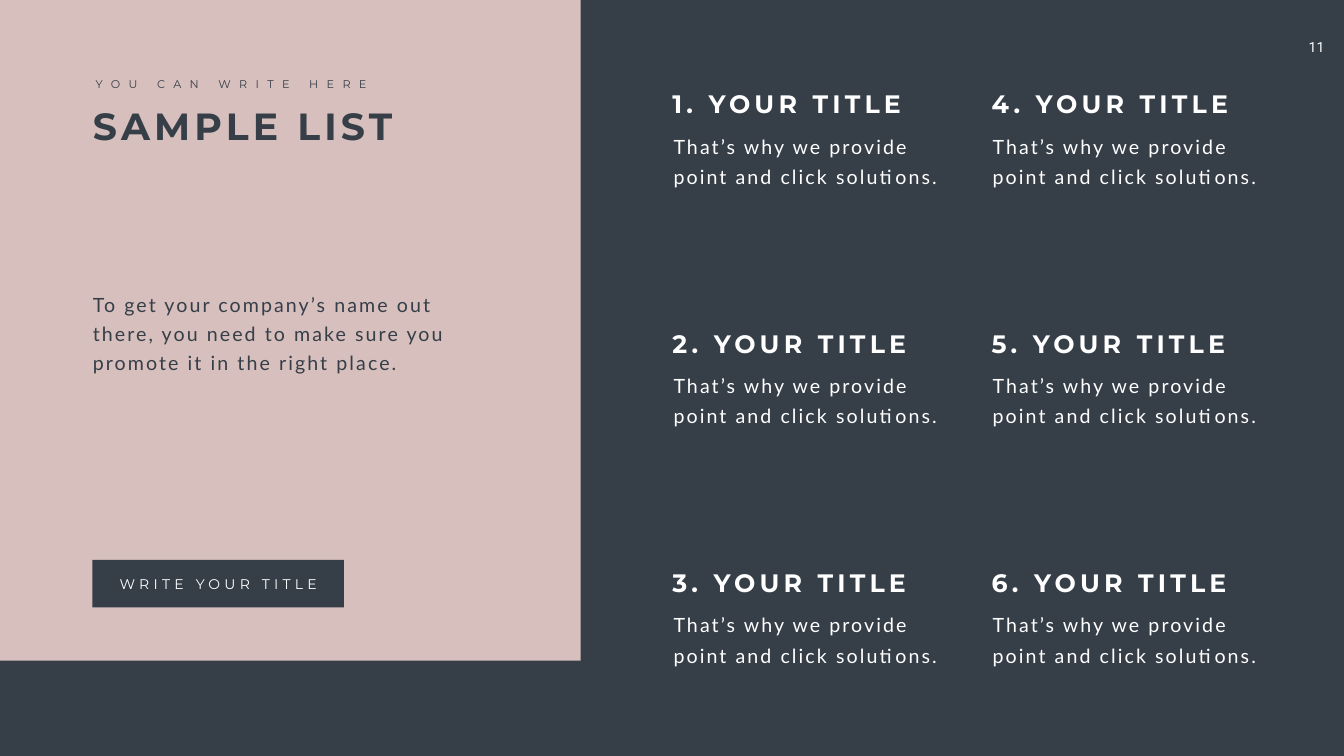
from pptx import Presentation
from pptx.dml.color import RGBColor
from pptx.enum.shapes import MSO_SHAPE
from pptx.enum.text import MSO_ANCHOR, MSO_AUTO_SIZE, PP_ALIGN
from pptx.oxml.ns import qn
from pptx.util import Inches, Pt
from lxml import etree

RECT = MSO_SHAPE.RECTANGLE
TOP = MSO_ANCHOR.TOP
NO_FIT = MSO_AUTO_SIZE.NONE
LEFT, MID = PP_ALIGN.LEFT, PP_ALIGN.CENTER

# Content
TITLE = "SAMPLE LIST"
KICKER = "YOU CAN WRITE HERE"
INTRO = ("To get your company’s name out there, you need to make sure you "
         "promote it in the right place.")
BUTTON = "WRITE YOUR TITLE"
NUMBER = "11"
NOTE = "That’s why we provide point and click solutions."
ITEMS = [(f"{n}. YOUR TITLE", NOTE) for n in range(1, 7)]

# Style and grid
COLORS = {"dark": "363E48", "pink": "FEE0DA", "white": "FFFFFF"}
WIDE, HIGH = 26.66, 15
ROWS = 3
GRID_X, GRID_Y = 13.12, 1.71
STEP_X, STEP_Y = 6.33, 4.75
HEAD_H = 0.71


def color(name):
    return RGBColor.from_string(COLORS[name])


def place(shape, box):
    shape.left, shape.top, shape.width, shape.height = map(Inches, box)


def write(shape, text, size, font, tint, bold=False, gap=0, line=None,
          align=LEFT, wrap=True, pad=(0.1, 0.05)):
    frame = shape.text_frame
    frame.auto_size = NO_FIT
    frame.word_wrap = wrap
    frame.vertical_anchor = TOP
    frame.margin_left = frame.margin_right = Inches(pad[0])
    frame.margin_top = frame.margin_bottom = Inches(pad[1])
    para = frame.paragraphs[0]
    para.alignment = align
    para.space_before = Pt(0)
    if line:
        para.line_spacing = Pt(line)
    run = para.add_run()
    run.text = text
    run.font.size = Pt(size)
    run.font.name = font
    run.font.bold = bold
    run.font.color.rgb = color(tint)
    if gap:
        run.font._element.set("spc", str(gap * 100))
    return para


def label(slide, box, *args, **style):
    shape = slide.shapes.add_textbox(*map(Inches, box))
    write(shape, *args, **style)


def block(slide, box, tint):
    shape = slide.shapes.add_shape(RECT, *map(Inches, box))
    shape.shadow.inherit = False
    shape.fill.solid()
    shape.fill.fore_color.rgb = color(tint)
    shape.line.fill.background()
    return shape


def main():
    deck = Presentation()
    deck.slide_width, deck.slide_height = Inches(WIDE), Inches(HIGH)
    slide = deck.slides.add_slide(deck.slide_layouts[1])
    slide.background.fill.solid()
    slide.background.fill.fore_color.rgb = color("dark")
    title, body = slide.placeholders

    # Pink panel, behind the placeholders
    panel = block(slide, (0, 0, 11.52, 13.11), "pink")
    fill = panel._element.spPr.find(qn("a:solidFill"))
    etree.SubElement(fill[0], qn("a:alpha"), val="80000")
    title._element.addprevious(panel._element)

    # Heading and intro
    place(title, (1.74, 1.99, 6.31, 1.01))
    write(title, TITLE, 54, "Montserrat", "dark", bold=True, gap=6, wrap=False)
    label(slide, (1.8, 1.48, 5.78, 0.37), KICKER, 16, "Montserrat", "dark",
          gap=12, wrap=False)
    place(body, (1.74, 5.67, 7.59, 1.77))
    para = write(body, INTRO, 28, "Lato", "dark", gap=3, line=40.8)
    props = para._p.get_or_add_pPr()
    props.set("marL", "0")
    props.set("indent", "0")
    etree.SubElement(props, qn("a:buNone"))

    # Numbered items, filled column by column
    for i, (head, note) in enumerate(ITEMS):
        col, row = divmod(i, ROWS)
        x, y = GRID_X + col * STEP_X, GRID_Y + row * STEP_Y
        label(slide, (x, y + HEAD_H, 5.85, 1.39), note, 28, "Lato", "white",
              gap=3, line=43, pad=(0.24, 0.12))
        label(slide, (x + 0.12, y, 5.34, HEAD_H), head, 36, "Montserrat",
              "white", bold=True, gap=6)

    # Button
    block(slide, (1.83, 11.11, 4.99, 0.94), "dark")
    label(slide, (2.21, 11.37, 4.24, 0.44), BUTTON, 20, "Montserrat", "white",
          gap=6, align=MID, wrap=False)

    # Page number
    label(slide, (25.61, 0.67, 1.01, 0.54), NUMBER, 20, "Roboto", "white",
          align=MID, pad=(0.2, 0.1))

    deck.save("out.pptx")


if __name__ == "__main__":
    main()
